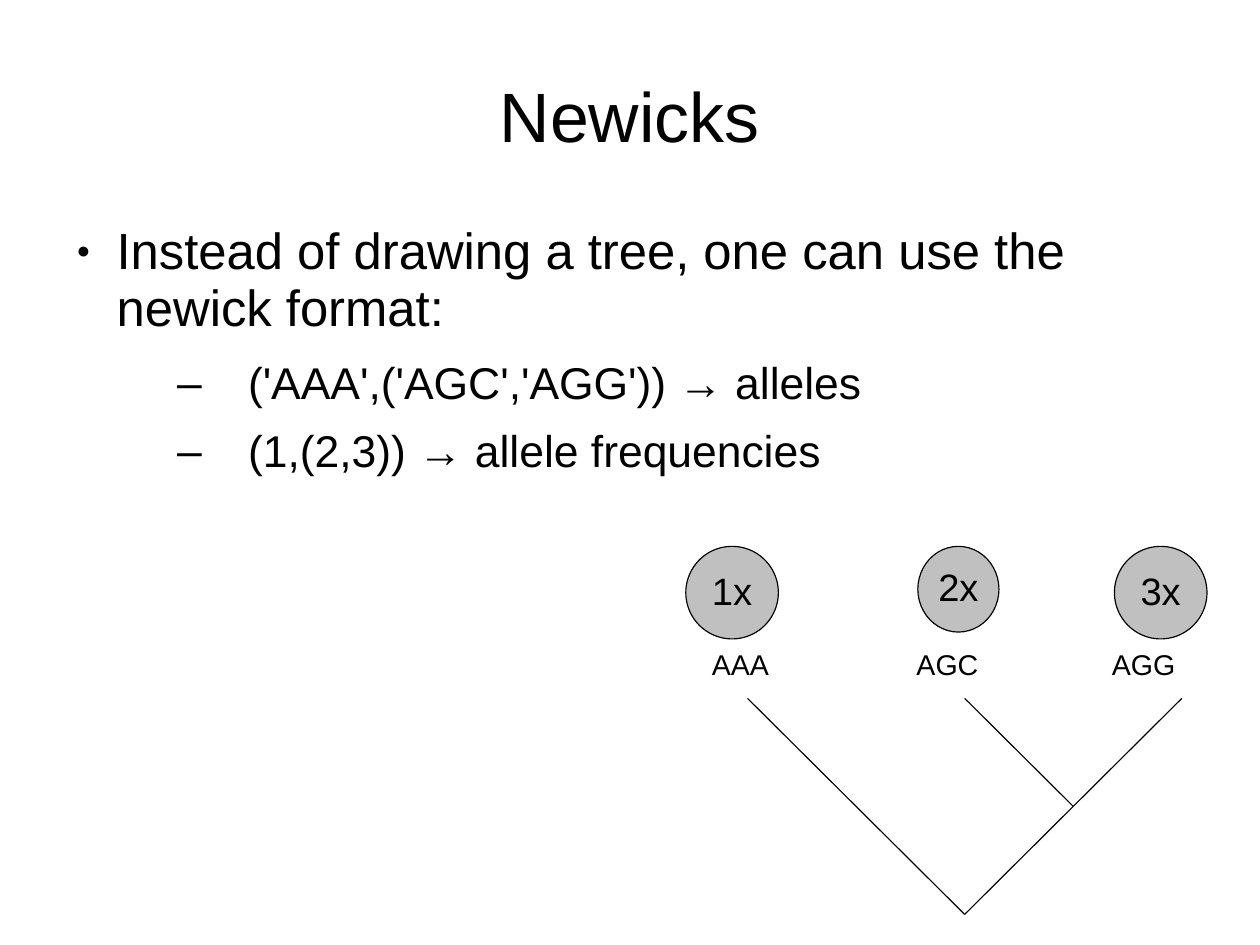
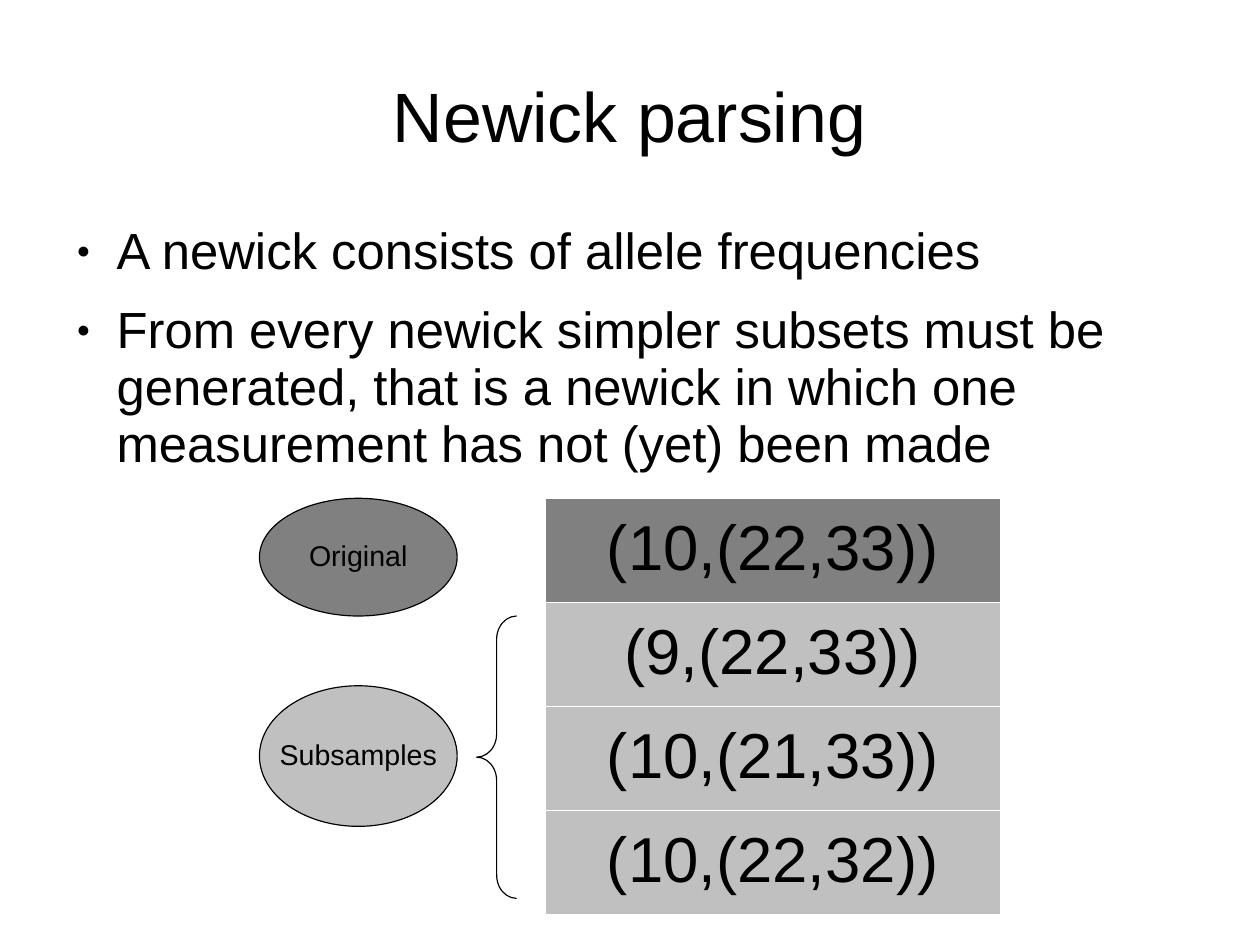
from lxml import etree
from pptx import Presentation
from pptx.dml.color import RGBColor
from pptx.enum.shapes import MSO_CONNECTOR, MSO_SHAPE
from pptx.enum.text import MSO_ANCHOR, MSO_AUTO_SIZE, PP_ALIGN
from pptx.oxml.ns import qn
from pptx.util import Inches, Pt

COLORS = {"ink": "000000", "paper": "FFFFFF", "original": "808080", "subsample": "C0C0C0"}
FONT = "Arial"
LINE_WIDTH = Pt(0.75)
CM_PER_INCH = 2.54
# level: (left indent, hanging indent, size, space after, bullet, bullet percent)
BULLETS = {
    0: (0.47, 0.35, 32, 14.3, "●", 45),
    1: (1.62, 0.62, 28, 11.4, "–", 100),
}


def color(name):
    return RGBColor.from_string(COLORS[name])


def set_frame(frame, insets=(0.1, 0.05, 0.1, 0.05), anchor=MSO_ANCHOR.TOP, wrap=True):
    frame.auto_size = MSO_AUTO_SIZE.NONE
    frame.word_wrap = wrap
    frame.vertical_anchor = anchor
    frame.margin_left, frame.margin_top, frame.margin_right, frame.margin_bottom = map(Inches, insets)


def write_text(paragraph, text, size=18, align=PP_ALIGN.LEFT, space_after=0):
    paragraph.alignment = align
    paragraph.line_spacing = 0.93
    paragraph.space_after = Pt(space_after)
    run = paragraph.add_run()
    run.text = text
    run.font.name = FONT
    run.font.size = Pt(size)
    run.font.color.rgb = color("ink")


def add_bullet(paragraph, left, hanging, character, percent):
    properties = paragraph._p.get_or_add_pPr()
    properties.set("marL", str(Inches(left)))
    properties.set("indent", str(-Inches(hanging)))
    bullet_color = etree.SubElement(properties, qn("a:buClr"))
    etree.SubElement(bullet_color, qn("a:srgbClr"), val=COLORS["ink"])
    etree.SubElement(properties, qn("a:buSzPct"), val=str(percent * 1000))
    etree.SubElement(properties, qn("a:buFont"), typeface=FONT)
    etree.SubElement(properties, qn("a:buChar"), char=character)


def add_body(slide, items):
    box = slide.shapes.add_textbox(Inches(0.55), Inches(1.93), Inches(9.92), Inches(5.46))
    frame = box.text_frame
    set_frame(frame, insets=(0, 0.03, 0, 0))
    for index, (level, text) in enumerate(items):
        paragraph = frame.add_paragraph() if index else frame.paragraphs[0]
        left, hanging, size, space_after, character, percent = BULLETS[level]
        paragraph.level = level
        add_bullet(paragraph, left, hanging, character, percent)
        write_text(paragraph, text, size=size, space_after=space_after)


def add_titled_slide(presentation, title, items):
    slide = presentation.slides.add_slide(presentation.slide_layouts[5])
    shape = slide.shapes.title
    shape.left, shape.top, shape.width, shape.height = map(Inches, (0.55, 0.38, 9.92, 1.28))
    set_frame(shape.text_frame, insets=(0, 0.04, 0, 0), anchor=MSO_ANCHOR.MIDDLE)
    write_text(shape.text_frame.paragraphs[0], title, size=44, align=PP_ALIGN.CENTER)
    add_body(slide, items)
    return slide


def add_outlined(slide, kind, left, top, width, height):
    shape = slide.shapes.add_shape(kind, Inches(left), Inches(top), Inches(width), Inches(height))
    shape.shadow.inherit = False
    shape.line.color.rgb = color("ink")
    shape.line.width = LINE_WIDTH
    return shape


def add_ellipse(slide, text, left, top, width, height, fill, size):
    shape = add_outlined(slide, MSO_SHAPE.OVAL, left, top, width, height)
    shape.fill.solid()
    shape.fill.fore_color.rgb = color(fill)
    set_frame(shape.text_frame, anchor=MSO_ANCHOR.MIDDLE, wrap=False)
    write_text(shape.text_frame.paragraphs[0], text, size=size, align=PP_ALIGN.CENTER)


def add_brace(slide, left, top, width, height):
    brace = add_outlined(slide, MSO_SHAPE.LEFT_BRACE, left, top, width, height)
    brace.fill.background()
    brace.adjustments[0] = 0.58
    brace.adjustments[1] = 0.5


def add_label(slide, text, left, top):
    box = slide.shapes.add_textbox(Inches(left), Inches(top), Inches(0.9), Inches(0.38))
    set_frame(box.text_frame, wrap=False)
    write_text(box.text_frame.paragraphs[0], text)


def add_branch(slide, start, end):
    branch = slide.shapes.add_connector(MSO_CONNECTOR.STRAIGHT, *map(Inches, start + end))
    branch.line.color.rgb = color("ink")
    branch.line.width = LINE_WIDTH
    etree.SubElement(branch._element.spPr, qn("a:effectLst"))


def set_borders(cell):
    properties = cell._tc.get_or_add_tcPr()
    for index, side in enumerate(("lnL", "lnR", "lnT", "lnB")):
        border = etree.Element(qn("a:" + side), w=str(Pt(0.06)))
        fill = etree.SubElement(border, qn("a:solidFill"))
        etree.SubElement(fill, qn("a:srgbClr"), val=COLORS["paper"])
        properties.insert(index, border)


def add_newick_table(slide, newicks, left, top, width, row_height):
    height = row_height * len(newicks)
    table = slide.shapes.add_table(
        len(newicks), 1, Inches(left), Inches(top), Inches(width), Inches(height)).table
    table.first_row = False
    table.horz_banding = False
    for index, newick in enumerate(newicks):
        table.rows[index].height = Inches(row_height)
        cell = table.cell(index, 0)
        cell.fill.solid()
        cell.fill.fore_color.rgb = color("subsample" if index else "original")
        set_borders(cell)
        cell.vertical_anchor = MSO_ANCHOR.MIDDLE
        write_text(cell.text_frame.paragraphs[0], newick, size=40, align=PP_ALIGN.CENTER)


def build_newicks(presentation):
    slide = add_titled_slide(presentation, "Newicks", [
        (0, "Instead of drawing a tree, one can use the newick format:"),
        (1, "('AAA',('AGC','AGG')) → alleles"),
        (1, "(1,(2,3)) → allele frequencies"),
    ])
    # Tree: two long branches from the root, a short one from halfway up the right
    root_x, root_y, spread, rise = 8.44, 8, 1.9, 1.89
    root, crown = (root_x, root_y), root_y - rise
    add_branch(slide, (root_x - spread, crown), root)
    add_branch(slide, root, (root_x + spread, crown))
    add_branch(slide, (root_x + spread / 2, root_y - rise / 2), (root_x, crown))
    # Leaves: allele, label left, frequency, circle left, width, height
    leaves = [
        ("AAA", 6.13, "1x", 6, 0.81, 0.81),
        ("AGC", 7.92, "2x", 8.03, 0.71, 0.75),
        ("AGG", 9.63, "3x", 9.75, 0.81, 0.81),
    ]
    for allele, label_left, frequency, left, width, height in leaves:
        add_label(slide, allele, label_left, 5.64)
        add_ellipse(slide, frequency, left, 4.78, width, height, "subsample", size=24)


def build_newick_parsing(presentation):
    slide = add_titled_slide(presentation, "Newick parsing", [
        (0, "A newick consists of allele frequencies"),
        (0, "From every newick simpler subsets must be generated, that is a newick "
            "in which one measurement has not (yet) been made"),
    ])
    # Newick and its subsamples
    newicks = ["(10,(22,33))", "(9,(22,33))", "(10,(21,33))", "(10,(22,32))"]
    add_newick_table(slide, newicks, 4.77, 4.36, 3.98, 0.91)
    add_ellipse(slide, "Original", 2.27, 4.36, 1.73, 1.03, "original", size=18)
    add_ellipse(slide, "Subsamples", 2.27, 6, 1.73, 1.23, "subsample", size=18)
    add_brace(slide, 4.17, 5.39, 0.35, 2.47)


def main():
    presentation = Presentation()
    # The page measures 28 by 21 centimetres
    presentation.slide_width = Inches(28 / CM_PER_INCH)
    presentation.slide_height = Inches(21 / CM_PER_INCH)
    build_newicks(presentation)
    build_newick_parsing(presentation)
    presentation.save("out.pptx")


if __name__ == "__main__":
    main()
